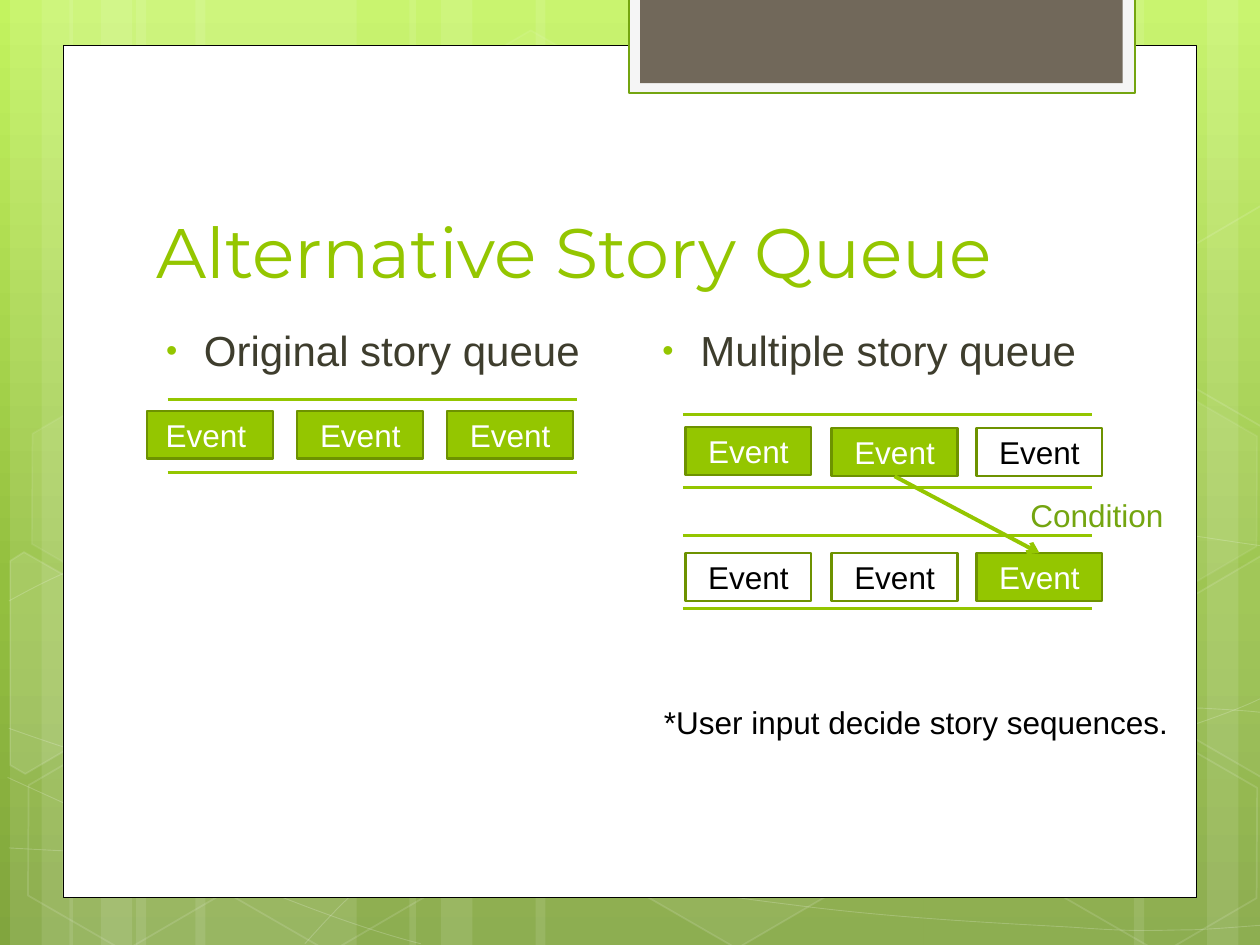
"""Build the Alternative Story Queue slide, comparing a single and a branching event queue."""
import copy
import math

import lxml.etree
import pptx
import pptx.dml.color
import pptx.enum.shapes
import pptx.enum.text
import pptx.oxml
import pptx.oxml.ns
import pptx.util
from pptx.util import Inches

RGBColor = pptx.dml.color.RGBColor
WHITE = RGBColor(0xFF, 0xFF, 0xFF)
BLACK = RGBColor(0x00, 0x00, 0x00)
LIME = RGBColor(0x94, 0xC6, 0x00)
DARK_LIME = RGBColor(0x6D, 0x92, 0x00)
LEAF = RGBColor(0x74, 0xA5, 0x10)
OLIVE = RGBColor(0x3E, 0x3D, 0x2D)
PALE = RGBColor(0xF5, 0xF5, 0xF5)
TAUPE = RGBColor(0x71, 0x68, 0x5A)
SKY = [(0, RGBColor(0xC3, 0xF3, 0x5F)), (0.62, RGBColor(0x93, 0xBF, 0x3F)), (1, RGBColor(0x81, 0xA5, 0x3E))]
SHAPE = pptx.enum.shapes.MSO_SHAPE
ANCHOR = pptx.enum.text.MSO_ANCHOR
ALIGN = pptx.enum.text.PP_ALIGN
qn = pptx.oxml.ns.qn


def paint(shape, fill=None, line=None, width=1, fill_alpha=100, line_alpha=100):
    shape.shadow.inherit = False
    if fill:
        shape.fill.solid()
        shape.fill.fore_color.rgb = fill
    else:
        shape.fill.background()
    if line:
        shape.line.color.rgb = line
        shape.line.width = pptx.util.Pt(width)
    else:
        shape.line.fill.background()
    alphas = [alpha for colour, alpha in ((fill, fill_alpha), (line, line_alpha)) if colour]
    for colour, alpha in zip(list(shape._element.spPr.iter(qn("a:srgbClr"))), alphas):
        if alpha < 100:
            lxml.etree.SubElement(colour, qn("a:alpha"), val=str(alpha * 1000))


def write(frame, text, size, colour, font="Arial", align=ALIGN.LEFT, anchor=ANCHOR.TOP):
    frame.text = text
    frame.word_wrap = True
    frame.vertical_anchor = anchor
    frame.paragraphs[0].alignment = align
    run_font = frame.paragraphs[0].runs[0].font
    run_font.name = font
    run_font.size = pptx.util.Pt(size)
    run_font.color.rgb = colour


deck = pptx.Presentation()
deck.slide_width, deck.slide_height = Inches(10), Inches(7.5)
slide = deck.slides.add_slide(deck.slide_layouts[5])
shapes = slide.shapes

sky = slide.background.fill
sky.gradient()
sky.gradient_angle = 270
last_stop = list(slide._element.iter(qn("a:gs")))[-1]
last_stop.addnext(copy.deepcopy(last_stop))
for stop, (position, colour) in zip(sky.gradient_stops, SKY):
    stop.position = position
    stop.color.rgb = colour

stripes = [(1.08, 1.75), (0.08, 0.5), (0.33, 0.83), (1.55, 1.75), (0.55, 0.5), (0.8, 0.83),
           (7.33, 1.75), (9.58, 0.5), (9, 0.83), (4.25, 3.08), (3.25, 0.5), (3.5, 0.83)]
for left, width in stripes:
    stripe = shapes.add_shape(SHAPE.RECTANGLE, Inches(left), 0, Inches(width), Inches(7.5))
    paint(stripe, WHITE, fill_alpha=10)

waves = [
    [(0.07, 6.73), (0.61, 6.76), (1.15, 6.79), (1.9, 6.78), (2.65, 6.77), (3.58, 6.75), (4.58, 6.65),
     (5.58, 6.55), (7, 6.36), (7.92, 6.17), (8.83, 5.98), (9.77, 5.68), (10.07, 5.51)],
    [(0.07, 4.77), (0.36, 4.61), (0.65, 4.46), (1.21, 4.31), (1.78, 4.16), (2.59, 3.94), (3.47, 3.87),
     (4.36, 3.8), (5.44, 3.79), (6.54, 3.87), (7.64, 3.95), (9.47, 4.26), (10.07, 4.34)],
    [(0.06, 6.17), (1.27, 6.72), (2.47, 7.27), (3.34, 7.49)],
    [(0.07, 5.78), (0.38, 5.89), (0.7, 6), (1.28, 6.16), (1.86, 6.31), (2.73, 6.56), (3.57, 6.73),
     (4.4, 6.9), (5.45, 7.08), (6.28, 7.18), (7.11, 7.29), (8, 7.33), (8.53, 7.36),
     (9.05, 7.4), (9.19, 7.38), (9.45, 7.38), (9.71, 7.37), (9.89, 7.35), (10.07, 7.34)],
    [(2.42, 7.49), (2.6, 7.29), (2.78, 7.09), (3.02, 6.91), (3.26, 6.73), (3.6, 6.53), (3.88, 6.39),
     (4.16, 6.25), (4.33, 6.19), (4.7, 6.09), (5.06, 5.99), (5.73, 5.85), (6.08, 5.78),
     (6.44, 5.71), (6.49, 5.71), (6.8, 5.69), (7.11, 5.66), (7.6, 5.63), (7.94, 5.62),
     (8.29, 5.61), (8.86, 5.62), (8.86, 5.62), (8.86, 5.62), (9.53, 5.62), (9.53, 5.62),
     (9.71, 5.63), (9.88, 5.64), (9.97, 5.65), (10.06, 5.66), (10.03, 5.65), (10.06, 5.66)],
]
for controls in waves:
    outline = [(Inches(x), Inches(y)) for x, y in controls]
    builder = shapes.build_freeform(*outline[0])
    builder.add_line_segments(outline[1:], close=False)
    wave = builder.convert_to_shape()
    segments = list(wave._element.iter(qn("a:lnTo")))
    for first in range(0, len(segments), 3):
        curve = lxml.etree.SubElement(segments[first].getparent(), qn("a:cubicBezTo"))
        for segment in segments[first:first + 3]:
            curve.append(segment[0])
            segment.getparent().remove(segment)
    paint(wave, line=WHITE, width=0.5, line_alpha=20)

hexagons = [(3.34, 0.36, 4, 8), (4.97, 5.89, 6, 12), (0.11, 5.91, 0, 12), (0.14, 3.12, 7, 8), (1.74, 5.92, 0, 12),
            (7.53, 4.53, 10, 12), (8.34, 5.93, 0, 12), (8.34, 3.14, 7, 8)]
for left, top, fill_alpha, line_alpha in hexagons:
    hexagon = shapes.add_shape(SHAPE.HEXAGON, Inches(left), Inches(top), Inches(1.75), Inches(1.52))
    hexagon.adjustments[0] = 0.285
    hexagon.rotation = 30
    paint(hexagon, WHITE if fill_alpha else None, WHITE, 1, fill_alpha, line_alpha)

cut_hexagons = [
    (0.36, 5.35, [(0.08, 4.45), (0.19, 4.38), (0.96, 4.82), (0.95, 5.7), (0.2, 6.14), (0.08, 6.07)], 10),
    (9.85, 5.2, [(9.26, 4.85), (10.01, 4.41), (10.09, 4.46), (10.09, 6.13), (10.02, 6.17), (9.26, 5.73)], 4),
    (9.85, 2.41, [(9.26, 2.07), (10.01, 1.63), (10.1, 1.68), (10.09, 3.35), (10.02, 3.39), (9.26, 2.95)], 0),
]
cos, sin = math.cos(math.radians(30)), math.sin(math.radians(30))
for middle_x, middle_y, corners, fill_alpha in cut_hexagons:
    offsets = [(x - middle_x, y - middle_y) for x, y in corners]
    outline = [(Inches(middle_x + dx * cos + dy * sin), Inches(middle_y + dy * cos - dx * sin)) for dx, dy in offsets]
    builder = shapes.build_freeform(*outline[0])
    builder.add_line_segments(outline[1:], close=True)
    cut_hexagon = builder.convert_to_shape()
    cut_hexagon.rotation = 30
    paint(cut_hexagon, WHITE if fill_alpha else None, WHITE, 1, fill_alpha, 12)

frames = [(0.5, 0.36, 9, 6.76, WHITE, BLACK, 0.5), (4.99, -0.02, 4.02, 0.76, PALE, LEAF, 1.25),
          (5.08, -0.02, 3.83, 0.68, TAUPE, None, 0)]
for left, top, width, height, fill, line, weight in frames:
    panel = shapes.add_shape(SHAPE.RECTANGLE, Inches(left), Inches(top), Inches(width), Inches(height))
    paint(panel, fill, line, weight)

title = shapes.title
title.left, title.top, title.width, title.height = Inches(1.14), Inches(1.12), Inches(7.68), Inches(1.25)
write(title.text_frame, "Alternative Story Queue", 40, LIME, "Montserrat", anchor=ANCHOR.BOTTOM)
title.text_frame.auto_size = pptx.enum.text.MSO_AUTO_SIZE.NONE
shapes._spTree.append(title._element)

for left, heading in ((1.14, "Original story queue"), (5.08, "Multiple story queue")):
    column = shapes.add_textbox(Inches(left), Inches(2.53), Inches(3.74), Inches(3.82))
    write(column.text_frame, heading, 24, OLIVE)
    bullet = column.text_frame.paragraphs[0]._p.get_or_add_pPr()
    bullet.set("marL", str(Inches(0.38)))
    bullet.set("indent", str(Inches(-0.3)))
    bullet_colour = lxml.etree.SubElement(bullet, qn("a:buClr"))
    lxml.etree.SubElement(bullet_colour, qn("a:srgbClr"), val=str(LIME))
    lxml.etree.SubElement(bullet, qn("a:buSzPct"), val="76000")
    lxml.etree.SubElement(bullet, qn("a:buFont"), typeface="Arial")
    lxml.etree.SubElement(bullet, qn("a:buChar"), char="•")

rails = [(left, top + offset, left + 3.25, top + offset, 1.75)
         for left, top in ((1.33, 3.17), (5.42, 3.29), (5.42, 4.25)) for offset in (0, 0.58)]
branch = (7.1, 3.78, 8.25, 4.39, 2.25)
for x1, y1, x2, y2, weight in rails + [branch]:
    rail = shapes.add_connector(pptx.enum.shapes.MSO_CONNECTOR.STRAIGHT, Inches(x1), Inches(y1), Inches(x2), Inches(y2))
    rail.line.color.rgb = LIME
    rail.line.width = pptx.util.Pt(weight)
    lxml.etree.SubElement(rail._element.spPr, qn("a:effectLst"))
arrow = rail
lxml.etree.SubElement(arrow._element.spPr.find(qn("a:ln")), qn("a:tailEnd"), type="arrow")

events = [(1.17, 3.26, "Event ", True), (2.36, 3.26, "Event", True), (5.44, 3.39, "Event", True),
          (3.55, 3.26, "Event", True), (6.6, 3.4, "Event", True), (7.75, 3.4, "Event", False),
          (7.75, 4.39, "Event", True), (5.44, 4.39, "Event", False), (6.6, 4.39, "Event", False)]
for left, top, label, played in events:
    event = shapes.add_shape(SHAPE.RECTANGLE, Inches(left), Inches(top), Inches(1), Inches(0.38))
    paint(event, LIME if played else None, DARK_LIME, 1.25)
    write(event.text_frame, label, 18, WHITE if played else BLACK, align=ALIGN.CENTER, anchor=ANCHOR.MIDDLE)
shapes._spTree.append(arrow._element)

for left, top, remark, colour in ((5.17, 5.53, "*User input decide story sequences.", BLACK),
                                  (8.08, 3.89, "Condition", LEAF)):
    note = shapes.add_textbox(Inches(left), Inches(top), Inches(4.25), Inches(0.4))
    write(note.text_frame, remark, 18, colour)

deck.save("out.pptx")
